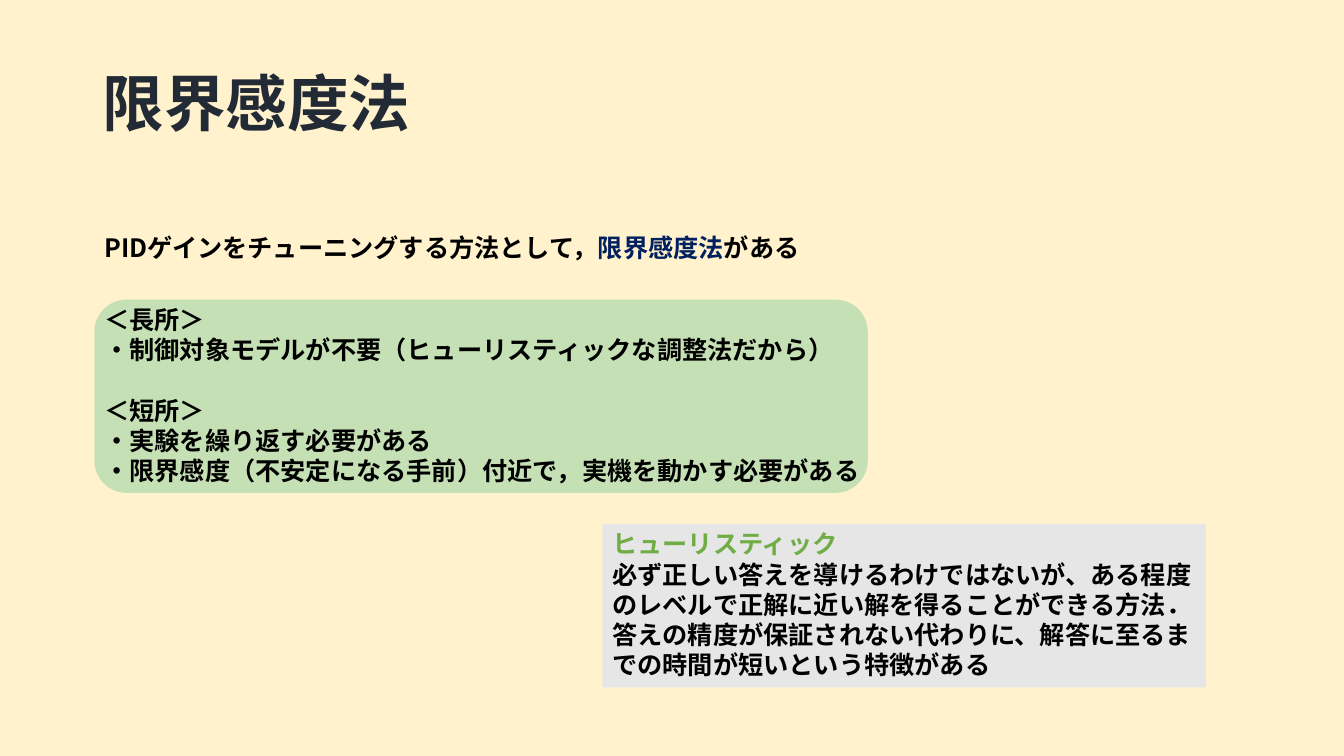
from lxml.etree import SubElement
from pptx import Presentation
from pptx.dml.color import RGBColor
from pptx.enum.shapes import MSO_SHAPE
from pptx.enum.text import MSO_ANCHOR, PP_ALIGN
from pptx.oxml.ns import qn
from pptx.util import Cm, Pt

INK, TITLE, NAVY, GREEN = "000000", "222A35", "002060", "70AD47"
CREAM, PALE_GREEN, GREY = "FFF2CC", "C5E0B4", "E7E6E6"


def rgb(value):
    return RGBColor.from_string(value)


class Deck:
    font = "Noto Sans CJK JP"
    size = 18

    def __init__(self, prs, background):
        self.s = prs.slides.add_slide(prs.slide_layouts[5])
        self.s.background.fill.solid()
        self.s.background.fill.fore_color.rgb = rgb(background)

    def style(self, p, size, color):
        f = p.font
        f.name, f.size, f.bold = self.font, Pt(size), True
        f.color.rgb = rgb(color)
        SubElement(f._element, qn("a:ea"), typeface=self.font)
        p.alignment = PP_ALIGN.LEFT

    def title(self, text, left, top, width, height):
        sp = self.s.shapes.title
        sp.left, sp.top, sp.width, sp.height = map(Cm, (left, top, width, height))
        tf = sp.text_frame
        tf.text = text
        tf.word_wrap = True
        tf.vertical_anchor = MSO_ANCHOR.MIDDLE
        self.style(tf.paragraphs[0], 44, TITLE)
        tf.paragraphs[0].line_spacing = 0.9

    def panel(self, kind, fill, left, top, width, height):
        sp = self.s.shapes.add_shape(kind, *map(Cm, (left, top, width, height)))
        sp.shadow.inherit = False
        sp.fill.solid()
        sp.fill.fore_color.rgb = rgb(fill)
        sp.line.fill.background()
        return sp

    def text(self, lines, left, top, width, height):
        sp = self.s.shapes.add_textbox(*map(Cm, (left, top, width, height)))
        return self.fill_text(sp.text_frame, lines)

    def fill_text(self, tf, lines):
        """Each line is a list of (text, colour) runs."""
        tf.word_wrap = True
        tf.vertical_anchor = MSO_ANCHOR.TOP
        for i, runs in enumerate(lines):
            p = tf.add_paragraph() if i else tf.paragraphs[0]
            self.style(p, self.size, runs[0][1])
            for text, color in runs:
                r = p.add_run()
                r.text = text
                if color != runs[0][1]:
                    r.font.color.rgb = rgb(color)
        return tf


prs = Presentation()
prs.slide_width, prs.slide_height = Cm(33.87), Cm(19.05)
deck = Deck(prs, CREAM)

# Title
deck.title("限界感度法", 2.33, 0.84, 28, 3.68)

# Introduction
deck.text([[("PIDゲインをチューニングする方法として，", INK),
            ("限界感度法", NAVY), ("がある", INK)]], 2.38, 5.74, 28, 1.03)

# Strengths and weaknesses
deck.panel(MSO_SHAPE.ROUNDED_RECTANGLE, PALE_GREEN, 2.38, 7.55, 19.49, 4.87)
points = ["＜長所＞",
          "・制御対象モデルが不要（ヒューリスティックな調整法だから）",
          "＜短所＞",
          "・実験を繰り返す必要がある",
          "・限界感度（不安定になる手前）付近で，実機を動かす必要がある"]
tf = deck.text([[(point, INK)] for point in points], 2.38, 7.55, 28, 4.87)
tf.paragraphs[2].space_before = Pt(21.6)

# Definition of heuristic
note = deck.panel(MSO_SHAPE.RECTANGLE, GREY, 15.18, 13.2, 15.21, 4.12)
deck.fill_text(note.text_frame, [
    [("ヒューリスティック", GREEN)],
    [("必ず正しい答えを導けるわけではないが、ある程度のレベルで正解に近い解を得ることができる方法．", INK)],
    [("答えの精度が保証されない代わりに、解答に至るまでの時間が短いという特徴がある", INK)],
])

prs.save("out.pptx")
